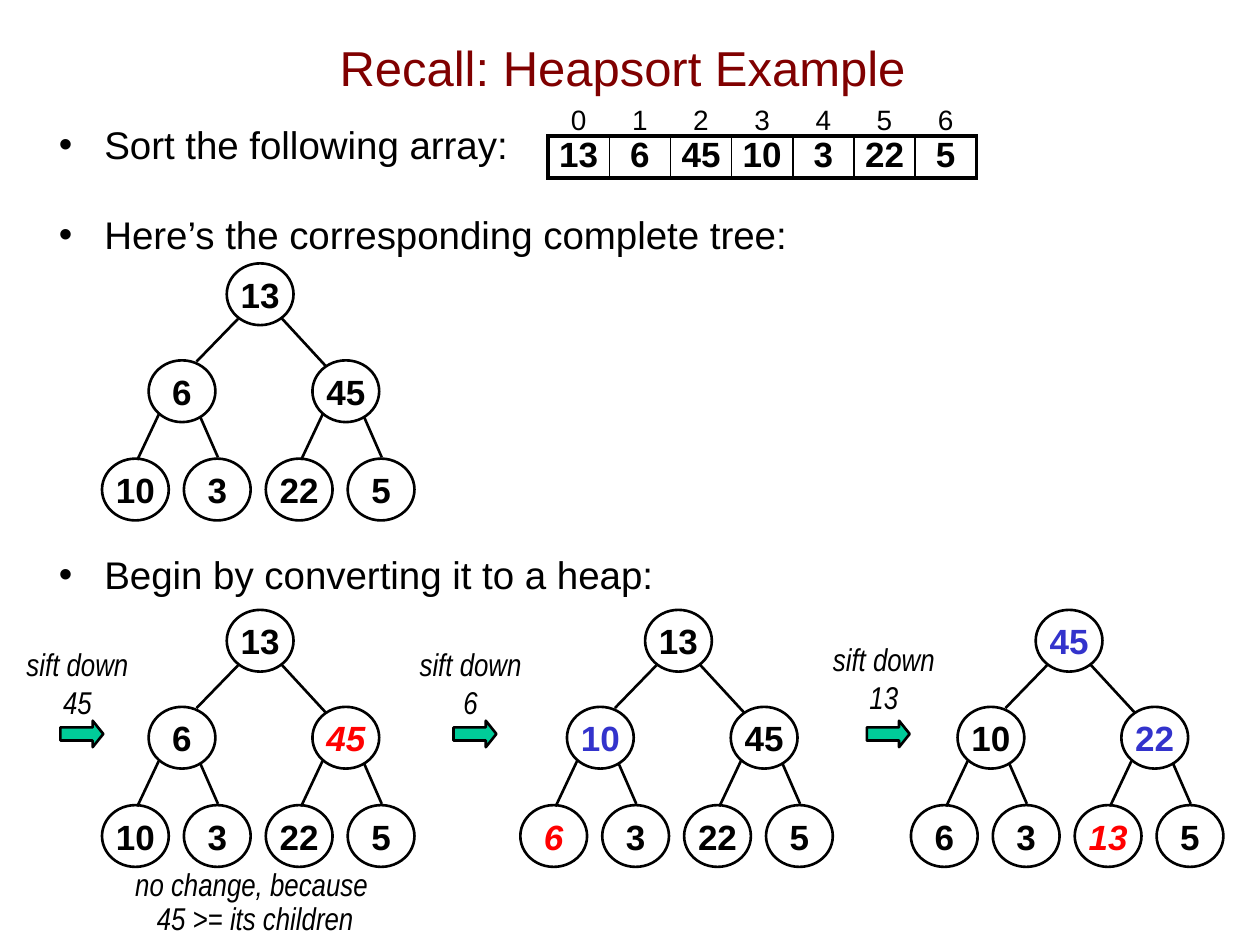
from lxml import etree
from pptx import Presentation, util as u
from pptx.dml import color
from pptx.enum import shapes, text
from pptx.oxml import ns

BLACK, RED, BLUE, MAROON, GREEN = "000000", "FF0000", "3333CC", "800000", "00CC99"


def rgb(value):
    return color.RGBColor.from_string(value)


def add_xml(parent, tag, **attributes):
    return etree.SubElement(parent, ns.qn(tag), attributes)


class SlideBuilder:
    """Draws text, trees, arrows and arrays on one slide in a shared style."""

    font = "Arial"
    note_font = "Arial Narrow"
    line_width = 1.5
    node_size = (0.53, 0.49)
    leaf_gap = 0.65
    parents = [(0.99, 0), (0.37, 0.77), (1.67, 0.77)]
    leaf_top = 1.55
    root_edges = [(1.08, 0.44, 0.75, 0.78), (1.42, 0.43, 1.78, 0.82)]
    leaf_edges = [(0.45, 1.2, 0.28, 1.56), (0.78, 1.22, 0.92, 1.54)]

    def __init__(self, slide):
        self.slide = slide

    def style(self, para, size, ink=BLACK, bold=False, italic=False, name=None, align="CENTER"):
        para.alignment = getattr(text.PP_ALIGN, align)
        font = para.font
        font.name, font.size = name or self.font, u.Pt(size)
        font.bold, font.italic = bold, italic
        font.color.rgb = rgb(ink)

    def text_box(self, left, top, width, height):
        box = self.slide.shapes.add_textbox(*map(u.Inches, (left, top, width, height)))
        box.text_frame.word_wrap = True
        return box.text_frame

    def title(self, words):
        frame = self.text_box(0.64, 0.07, 8.6, 0.93)
        frame.vertical_anchor = text.MSO_ANCHOR.MIDDLE
        frame.text = words
        self.style(frame.paragraphs[0], 28, MAROON)

    def bullets(self, items):
        frame = self.text_box(0.37, 0.91, 9.63, 6.14)
        for index, (words, gap) in enumerate(items):
            para = frame.add_paragraph() if index else frame.paragraphs[0]
            para.text = words
            para.space_before = u.Pt(gap)
            properties = para._p.get_or_add_pPr()
            properties.set("marL", str(u.Inches(0.36)))
            properties.set("indent", str(-u.Inches(0.36)))
            add_xml(properties, "a:buFont", typeface=self.font)
            add_xml(properties, "a:buChar", char="•")
            self.style(para, 22, align="LEFT")

    def note(self, words, left, top, width, height, spacing=1.0):
        frame = self.text_box(left, top, width, height)
        frame.word_wrap = False
        frame.auto_size = text.MSO_AUTO_SIZE.SHAPE_TO_FIT_TEXT
        para = frame.paragraphs[0]
        para.text = words
        para.line_spacing = spacing
        self.style(para, 18, italic=True, name=self.note_font)

    def shape(self, kind, left, top, width, height, fill=None):
        item = self.slide.shapes.add_shape(kind, *map(u.Inches, (left, top, width, height)))
        item.shadow.inherit = False
        if fill:
            item.fill.solid()
            item.fill.fore_color.rgb = rgb(fill)
        else:
            item.fill.background()
        item.line.color.rgb = rgb(BLACK)
        item.line.width = u.Pt(self.line_width)
        return item

    def node(self, value, left, top, ink):
        frame = self.shape(shapes.MSO_SHAPE.OVAL, left, top, *self.node_size).text_frame
        frame.margin_left = frame.margin_top = frame.margin_right = frame.margin_bottom = 0
        frame.vertical_anchor = text.MSO_ANCHOR.MIDDLE
        frame.word_wrap = False
        frame.text = str(value)
        self.style(frame.paragraphs[0], 20, ink, bold=True, italic=ink == RED)

    def edge(self, x1, y1, x2, y2):
        line = self.slide.shapes.add_connector(
            shapes.MSO_CONNECTOR.STRAIGHT, *map(u.Inches, (x1, y1, x2, y2)))
        line.line.color.rgb = rgb(BLACK)
        line.line.width = u.Pt(self.line_width)
        add_xml(line._element.spPr, "a:effectLst")

    def tree(self, values, left, top, inks):
        leaves = [(self.leaf_gap * i, self.leaf_top) for i in range(4)]
        for index, (value, (x, y)) in enumerate(zip(values, self.parents + leaves)):
            self.node(value, left + x, top + y, inks.get(index, BLACK))
        for x1, y1, x2, y2 in self.root_edges:
            self.edge(left + x1, top + y1, left + x2, top + y2)
        for start in (left, left + 2 * self.leaf_gap):
            for x1, y1, x2, y2 in self.leaf_edges:
                self.edge(start + x1, top + y1, start + x2, top + y2)

    def sift_step(self, value, left, label_top):
        arrow = self.shape(shapes.MSO_SHAPE.RIGHT_ARROW, left, 5.72, 0.34, 0.21, GREEN)
        arrow.adjustments[0], arrow.adjustments[1] = 0.5, 0.4
        self.note(f"sift down\n{value}", left - 0.37, label_top, 1.01, 0.7)

    def border(self, cell, side, width):
        line = add_xml(cell._tc.get_or_add_tcPr(), f"a:ln{side}", w=str(u.Pt(width)))
        if width:
            add_xml(add_xml(line, "a:solidFill"), "a:srgbClr", val=BLACK)
        else:
            add_xml(line, "a:noFill")

    def cell(self, cell, value, size, bold, margins, anchor, borders):
        cell.text = str(value)
        cell.margin_left, cell.margin_top, cell.margin_right, cell.margin_bottom = map(u.Inches, margins)
        cell.vertical_anchor = anchor
        self.style(cell.text_frame.paragraphs[0], size, bold=bold)
        for side, width in zip("LRTB", borders):
            self.border(cell, side, width)
        cell.fill.background()

    def array(self, values):
        count = len(values)
        frame = self.slide.shapes.add_table(2, count, *map(u.Inches, (4.35, 0.76, 3.4, 0.65)))
        table = frame.table
        table.first_row = table.horz_banding = False
        for row, height in zip(table.rows, (0.32, 0.33)):
            row.height = u.Inches(height)
        thick, thin = 2.25, 1
        for index, value in enumerate(values):
            table.columns[index].width = u.Inches(3.4 / count)
            left = thin if index else thick
            right = thin if index < count - 1 else thick
            self.cell(table.cell(0, index), index, 16, False, (0.1, 0.05, 0.1, 0),
                      text.MSO_ANCHOR.BOTTOM, (0, 0, 0, thick))
            self.cell(table.cell(1, index), value, 20, True, (0, 0, 0, 0),
                      text.MSO_ANCHOR.TOP, (left, right, thick, thick))


def main():
    deck = Presentation()
    deck.slide_width, deck.slide_height = u.Inches(10), u.Inches(7.5)
    page = SlideBuilder(deck.slides.add_slide(deck.slide_layouts[6]))
    numbers = [13, 6, 45, 10, 3, 22, 5]

    page.title("Recall: Heapsort Example")
    page.bullets([
        ("Sort the following array:", 14),
        ("Here’s the corresponding complete tree:", 25),
        ("Begin by converting it to a heap:", 168),
    ])
    page.array(numbers)
    for values, left, top, inks in [
        (numbers, 0.81, 2.09, {}),
        (numbers, 0.81, 4.84, {2: RED}),
        ([13, 10, 45, 6, 3, 22, 5], 4.13, 4.84, {1: BLUE, 3: RED}),
        ([45, 10, 22, 6, 3, 13, 5], 7.23, 4.84, {0: BLUE, 2: BLUE, 5: RED}),
    ]:
        page.tree(values, left, top, inks)
    for value, left, label_top in [(45, 0.48, 5.07), (6, 3.6, 5.07), (13, 6.88, 5.03)]:
        page.sift_step(value, left, label_top)
    page.note("no change, because \n45 >= its children", 0.97, 6.85, 2.11, 0.64, 0.9)
    deck.save("out.pptx")


if __name__ == "__main__":
    main()
